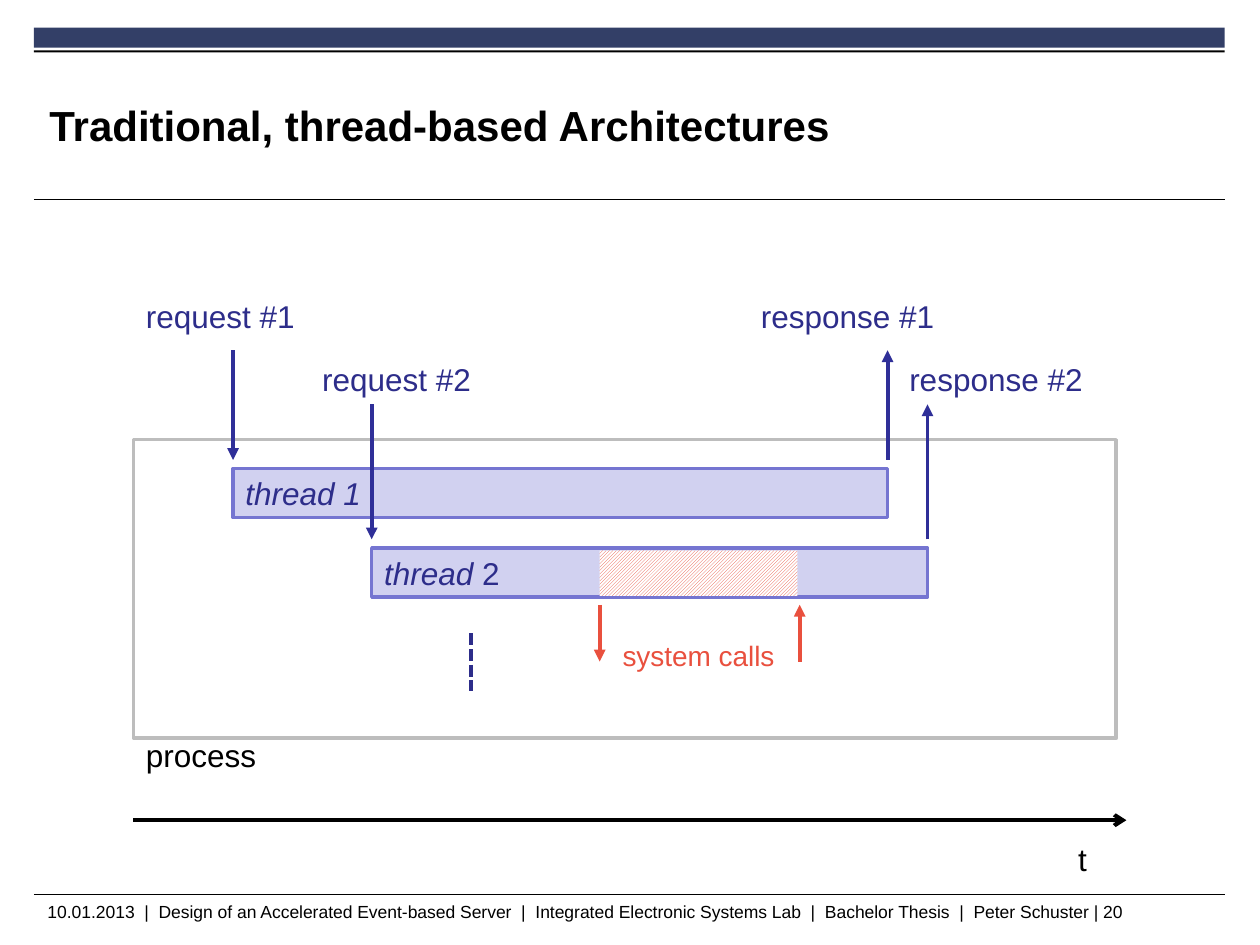
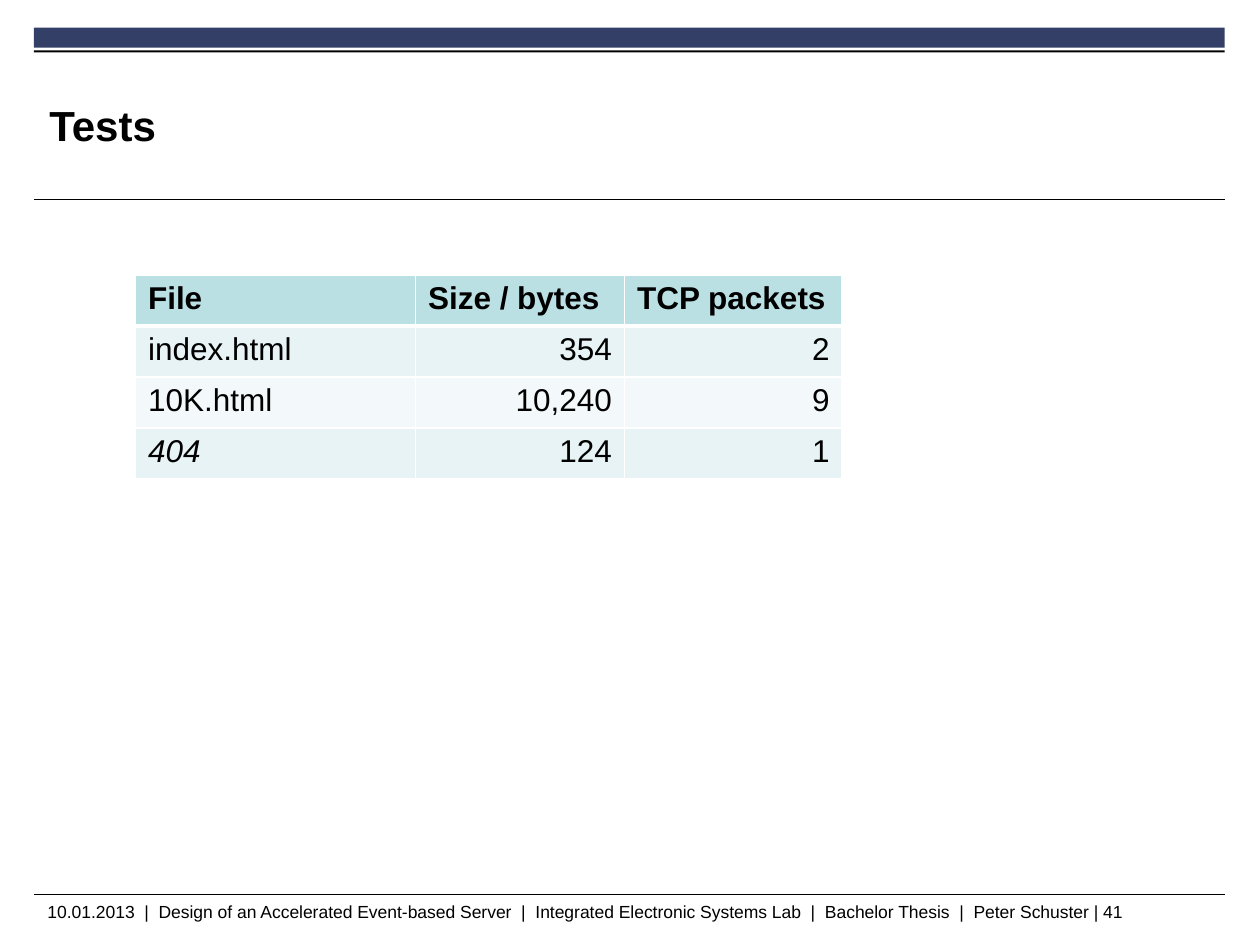
from pptx import Presentation
from pptx.dml.color import RGBColor
from pptx.enum import dml, shapes, text
from pptx.oxml.ns import qn
from pptx.util import Pt
from lxml import etree

# Content
FOOTER = ["10.01.2013", "Design of an Accelerated Event-based Server",
          "Integrated Electronic Systems Lab", "Bachelor Thesis", "Peter Schuster"]
ARCHITECTURE = {"title": "Traditional, thread-based Architectures", "number": 20}
TESTS = {"title": "Tests", "number": 41}
THREADS = [
    {"name": [("thread 1", True)], "left": 133.2, "right": 507.2, "top": 267.8,
     "arrow_top": 200.2, "label_top": 166.3,
     "labels": [("request #1", 76.3, 100), ("response #1", 427.7, 114.5)]},
    {"name": [("thread", True), (" 2", False)], "left": 212.4, "right": 530, "top": 313.2,
     "arrow_top": 231.1, "label_top": 202.3,
     "labels": [("request #2", 177, 100), ("response #2", 512.5, 114.5)]},
]
TEST_ROWS = [
    ("File", "Size / bytes", "TCP packets"),
    ("index.html", "354", "2"),
    ("10K.html", "10,240", "9"),
    ("404", "124", "1"),
]

# Shared look
FONT = "Arial"
COLORS = {
    "black": "000000", "white": "FFFFFF", "band": "333F67", "frame": "BDBDBD",
    "thread": "D1D1F0", "thread_edge": "7575D1", "ink": "2D2D8A", "arrow": "2F2F98",
    "call": "E9503E", "header": "BBE0E3", "odd_row": "E7F3F4", "even_row": "F3F9FA",
}
LEFT, BAND_WIDTH = 19.4, 680.4
BAR_HEIGHT = 28
ALIGN = text.PP_ALIGN
MIDDLE = text.MSO_ANCHOR.MIDDLE


def color(name):
    return RGBColor.from_string(COLORS[name])


def write(frame, spans, size=18, ink="black", bold=False, align=ALIGN.LEFT):
    """Fill a text frame with one paragraph of (words, italic) spans."""
    para = frame.paragraphs[0]
    para.alignment = align
    for words, italic in spans:
        span = para.add_run()
        span.text = words
        values = {"name": FONT, "size": Pt(size), "bold": bold, "italic": italic}
        for key, value in values.items():
            setattr(span.font, key, value)
        span.font.color.rgb = color(ink)


def add_label(page, words, left, top, width, height=29, wrap=True, inset=None,
              anchor=text.MSO_ANCHOR.TOP, **style):
    box = page.shapes.add_textbox(Pt(left), Pt(top), Pt(width), Pt(height))
    frame = box.text_frame
    frame.word_wrap = wrap
    frame.vertical_anchor = anchor
    if inset is not None:
        for side in ("left", "top", "right", "bottom"):
            setattr(frame, f"margin_{side}", Pt(inset))
    write(frame, [(words, False)], **style)


def add_box(page, left, top, width, height, fill, edge=None):
    box = page.shapes.add_shape(shapes.MSO_SHAPE.RECTANGLE,
                                Pt(left), Pt(top), Pt(width), Pt(height))
    box.shadow.inherit = False
    box.fill.solid()
    box.fill.fore_color.rgb = color(fill)
    if edge:
        box.line.color.rgb = color(edge)
        box.line.width = Pt(2)
    else:
        box.line.fill.background()
    return box


def add_line(page, start, end, ink="black", width=2.25, tip=None, dash=None):
    line = page.shapes.add_connector(shapes.MSO_CONNECTOR.STRAIGHT,
                                     *(Pt(value) for value in (*start, *end)))
    line.line.color.rgb = color(ink)
    line.line.width = Pt(width)
    if dash:
        line.line.dash_style = dash
    props = line._element.spPr
    if tip:
        etree.SubElement(props.find(qn("a:ln")), qn("a:tailEnd"), type=tip)
    etree.SubElement(props, qn("a:effectLst"))


def add_page(deck, title, number):
    """Start a page with the band, rules, title and footer."""
    page = deck.slides.add_slide(deck.slide_layouts[6])
    add_box(page, LEFT, 15.8, BAND_WIDTH, 11.5, "band")
    add_box(page, LEFT, 28.8, BAND_WIDTH, 1.2, "black")
    for top in (114.2, 511.2):
        add_line(page, (LEFT, top), (LEFT + BAND_WIDTH, top), width=0.6)
    add_label(page, "  |  ".join(FOOTER) + f" | {number}", 20, 511.2, BAND_WIDTH, 18, size=10)
    add_label(page, title, 28.2, 38.2, 541.5, 66.2, inset=0, anchor=MIDDLE, size=24, bold=True)
    return page


def add_thread(page, thread):
    """Draw a thread bar with its incoming request and outgoing response."""
    left, right, top = thread["left"], thread["right"], thread["top"]
    bar = add_box(page, left, top, right - left, BAR_HEIGHT, "thread", "thread_edge")
    bar.text_frame.vertical_anchor = MIDDLE
    write(bar.text_frame, thread["name"], ink="ink")
    outer, inner = thread["arrow_top"], top - 5
    add_line(page, (left, outer), (left, inner), "arrow", tip="triangle")
    add_line(page, (right, inner), (right, outer), "arrow", tip="triangle")
    for words, label_left, width in thread["labels"]:
        add_label(page, words, label_left, thread["label_top"], width, wrap=False, ink="ink")


def add_system_calls(page):
    start, end, top, bottom = 342.7, 457, 345.6, 378
    hatch = add_box(page, start, 314.6, 113, 26, "white")
    hatch.fill.patterned()
    hatch.fill.pattern = dml.MSO_PATTERN.DARK_UPWARD_DIAGONAL
    hatch.fill.fore_color.rgb = color("call")
    hatch.fill.back_color.rgb = color("white")
    add_line(page, (start, top), (start, bottom), "call", tip="triangle")
    add_line(page, (end, bottom), (end, top), "call", tip="triangle")
    add_label(page, "system calls", start, 361.4, 113, 26.6,
              size=16, ink="call", align=ALIGN.CENTER)


def build_architecture(deck):
    page = add_page(deck, **ARCHITECTURE)
    # Time axis and process frame
    add_line(page, (76.3, 468.7), (643.7, 468.7), tip="arrow")
    add_label(page, "t", 609, 476.6, 34)
    add_box(page, 76.3, 251.3, 561.6, 170.6, "white", "frame")
    add_label(page, "process", 76.3, 417, 147.6)
    # Threads, with a dashed hint that more follow
    for thread in THREADS:
        add_thread(page, thread)
    add_line(page, (269.3, 362), (269.3, 394.6), "ink", dash=dml.MSO_LINE.SQUARE_DOT)
    add_system_calls(page)


def set_borders(cell, below):
    props = cell._tc.get_or_add_tcPr()
    widths = {"lnL": 1, "lnR": 1, "lnT": 1, "lnB": below}
    for place, (side, width) in enumerate(widths.items()):
        line = etree.Element(qn(f"a:{side}"), w=str(Pt(width)))
        fill = etree.SubElement(line, qn("a:solidFill"))
        etree.SubElement(fill, qn("a:srgbClr"), val=COLORS["white"])
        props.insert(place, line)


def build_tests(deck):
    page = add_page(deck, **TESTS)
    widths, row_height = (160, 119.5, 124.3), 29.2
    table = page.shapes.add_table(len(TEST_ROWS), len(widths), Pt(77.4), Pt(157),
                                  Pt(sum(widths)), Pt(row_height * len(TEST_ROWS))).table
    for column, width in zip(table.columns, widths):
        column.width = Pt(width)
    for r, values in enumerate(TEST_ROWS):
        table.rows[r].height = Pt(row_height)
        header = r == 0
        fill = "header" if header else "odd_row" if r % 2 else "even_row"
        for c, value in enumerate(values):
            cell = table.cell(r, c)
            cell.fill.solid()
            cell.fill.fore_color.rgb = color(fill)
            set_borders(cell, below=3 if header else 1)
            write(cell.text_frame, [(value, value == "404")], bold=header,
                  align=ALIGN.LEFT if header or c == 0 else ALIGN.RIGHT)
            if r == 1:  # share the thick line under the header
                cell._tc.tcPr.find(qn("a:lnT")).set("w", str(Pt(3)))


def main():
    deck = Presentation()
    deck.slide_width, deck.slide_height = Pt(720), Pt(540)
    build_architecture(deck)
    build_tests(deck)
    deck.save("out.pptx")


if __name__ == "__main__":
    main()
